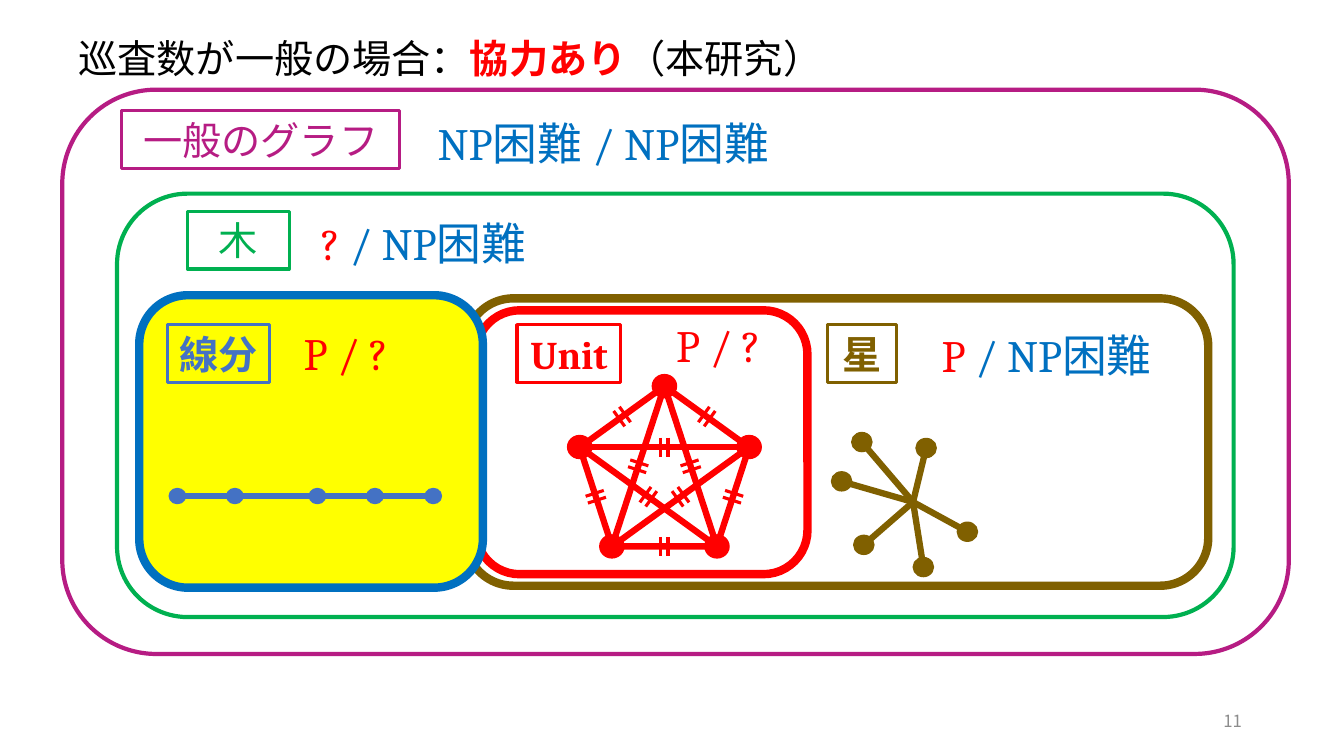
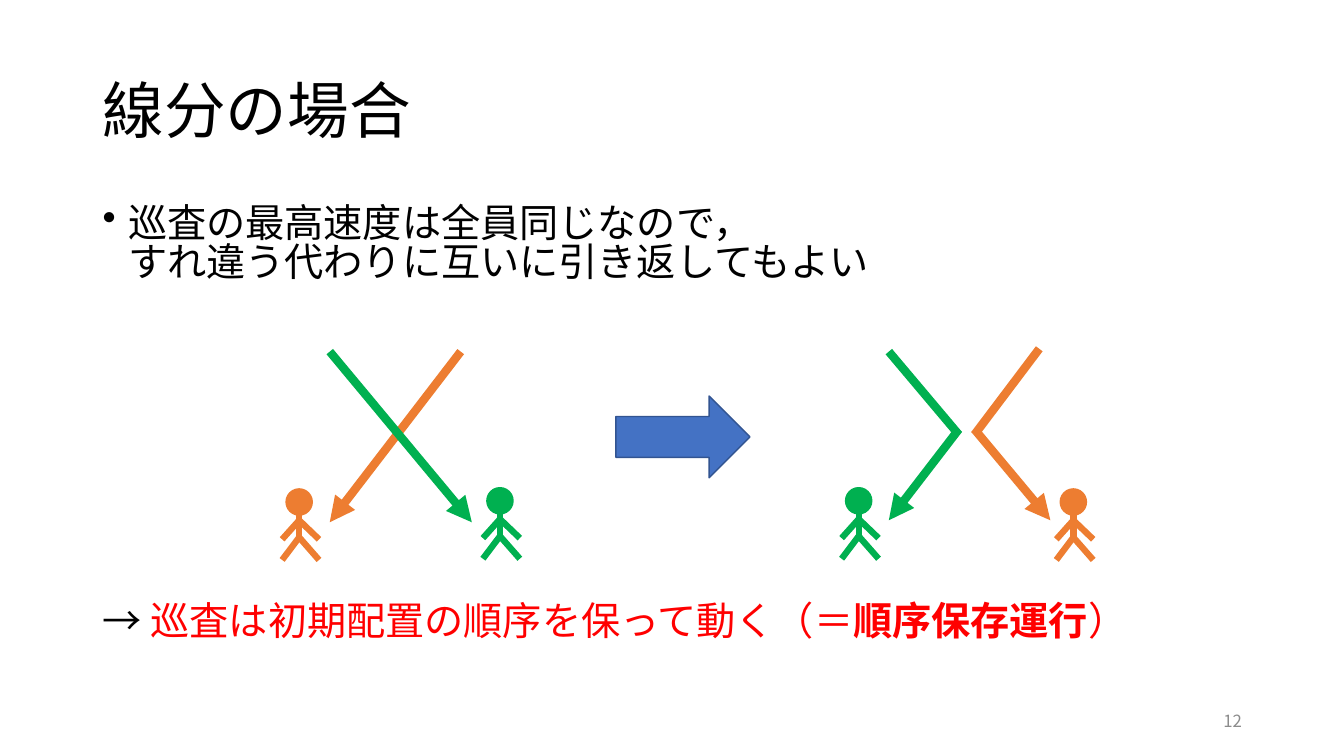
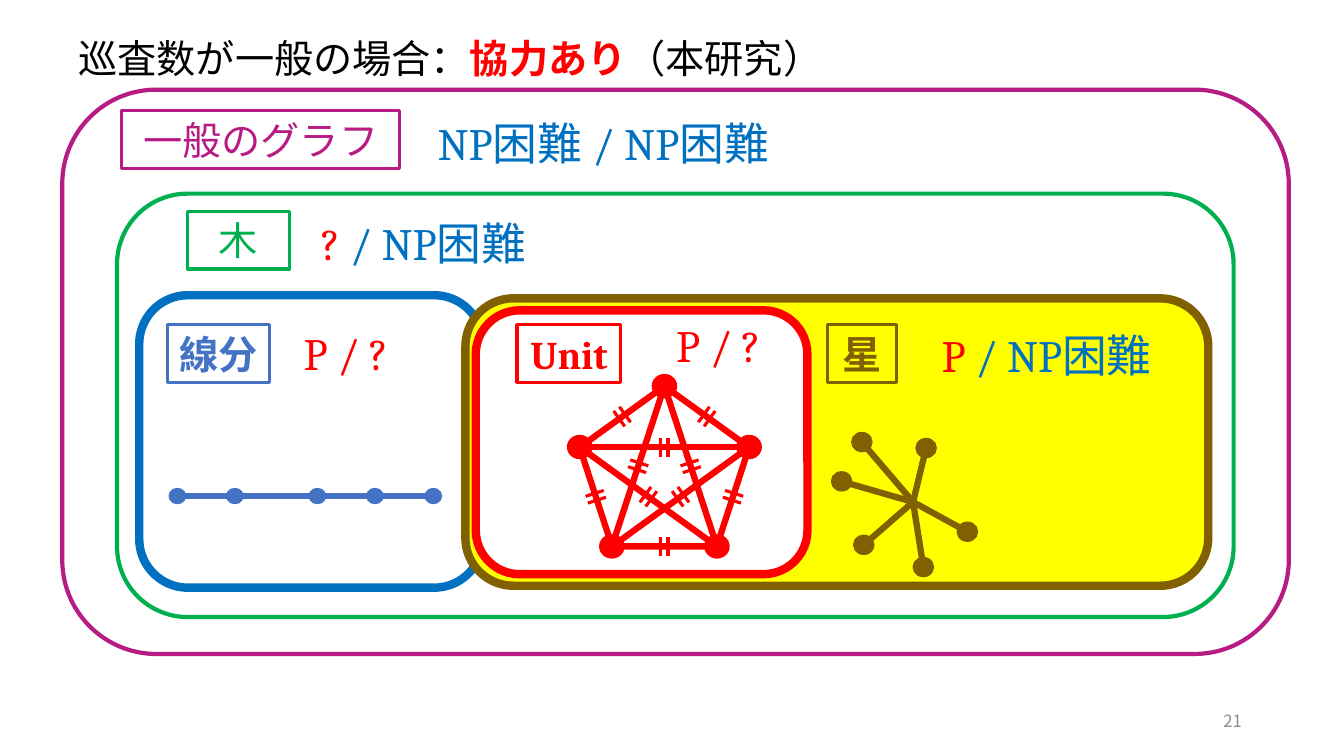
from dataclasses import dataclass
from itertools import combinations
from math import hypot

from lxml import etree
from pptx import Presentation, util as u
from pptx.dml.color import RGBColor
from pptx.enum import shapes, text
from pptx.oxml.ns import qn


@dataclass(frozen=True)
class Theme:
    """Colours, fonts, type sizes and line widths, in points."""
    black: str = "000000"
    white: str = "FFFFFF"
    red: str = "FF0000"
    blue: str = "0070C0"
    navy: str = "4472C4"
    navy_edge: str = "325491"
    green: str = "00B050"
    brown: str = "806000"
    purple: str = "B61C83"
    orange: str = "ED7D31"
    yellow: str = "FFFF00"
    grey: str = "8C8C8C"
    sans: str = "Noto Sans CJK JP"
    serif: str = "Cambria"
    title: float = 44
    verdict: float = 32
    body: float = 28
    number: float = 12
    thick: float = 6
    edge: float = 4.5
    frame: float = 3
    tick: float = 2.25
    hair: float = 1


T = Theme()
SHAPE = shapes.MSO_SHAPE
ALIGN = text.PP_ALIGN
ANCHOR = text.MSO_ANCHOR

# Content. Lengths are centimetres; a box is left, top, width, height.
# A run is text, colour, bold, font.
SLIDE_SIZE = (33.87, 19.05)
NUMBER_BOX = (23.93, 17.65, 7.62, 1.02)

HEADING_BOX = (1.73, 0.74, 19.46, 1.45)
HEADING = [("巡査数が一般の場合：", T.black, False, T.sans),
           ("協力あり", T.red, True, T.sans),
           ("（本研究）", T.black, False, T.sans)]

REGIONS = {  # box, line colour, line width
    "general": ((1.57, 2.26, 30.91, 14.22), T.purple, T.frame),
    "tree": ((2.95, 4.88, 28.14, 10.67), T.green, T.frame),
    "segment": ((3.51, 7.44, 8.66, 7.37), T.blue, T.thick),
    "star": ((11.73, 7.52, 18.72, 7.24), T.brown, T.thick),
    "unit": ((11.99, 7.82, 8.36, 6.65), T.red, T.thick),
}
LABEL_HEIGHT = 1.45
LABELS = [  # left, top, width, run
    (3.07, 2.79, 7.01, ("一般のグラフ", T.purple, False, T.sans)),
    (4.72, 5.33, 2.57, ("木", T.green, False, T.sans)),
    (4.22, 8.18, 2.57, ("線分", T.navy, True, T.sans)),
    (13.03, 8.18, 2.62, ("Unit", T.red, True, T.serif)),
    (20.85, 8.18, 1.75, ("星", T.brown, True, T.sans)),
]
HARD = ("困難", T.blue, False, T.sans)
SLASH_NP = (" / NP", T.blue, False, T.serif)
POLYNOMIAL_OPEN = [("P / ?", T.red, False, T.serif)]
VERDICT_HEIGHT = 1.63
VERDICTS = [  # left, top, width, runs
    (10.01, 2.79, 10.39, [("NP", T.blue, False, T.serif),
                          ("困難 ", T.blue, False, T.sans),
                          ("/ NP", T.blue, False, T.serif), HARD]),
    (7.39, 5.31, 6.58, [("?", T.red, False, T.serif), SLASH_NP, HARD]),
    (7.37, 8.08, 2.69, POLYNOMIAL_OPEN),
    (16.76, 7.87, 2.69, POLYNOMIAL_OPEN),
    (23.09, 8.13, 6.58, [("P", T.red, False, T.serif), SLASH_NP, HARD]),
]

PENTAGON_BOX = (14.61, 9.73, 4.27, 4.04)
PENTAGON_CORNERS = [(0.5, 0), (1, 0.38), (0.81, 1), (0.19, 1), (0, 0.38)]
TICK_OFFSET, TICK_HALF = 0.09, 0.24
STAR_CENTRE = (23.01, 12.65)
STAR_LEAVES = [(21.72, 11.14), (23.34, 11.29), (24.38, 13.4),
               (23.27, 14.29), (21.77, 13.73), (21.21, 12.13)]
SEGMENT_Y = 12.5
SEGMENT_STOPS = [4.47, 5.92, 8, 9.45, 10.92]
DOT_UNIT, DOT_STAR, DOT_SEGMENT = (0.61, 0.58), (0.51, 0.48), (0.41, 0.38)

# Page number and the regions from back to front with their fills.
MAPS = {
    11: [("unit", None), ("star", None), ("segment", T.yellow),
         ("tree", None), ("general", None)],
    21: [("segment", None), ("star", T.yellow), ("unit", T.white),
         ("general", None), ("tree", None)],
}

TITLE_BOX = (2.34, 1.02, 29.21, 3.68)
TITLE = [("線分の場合", T.black, False, T.sans)]
BODY_BOX = (2.34, 5.08, 29.21, 12.09)
BODY_LINES = ["巡査の最高速度は全員同じなので，",
              "すれ違う代わりに互いに引き返してもよい"]
CONCLUSION = [("→ ", T.black, False, T.sans),
              ("巡査は初期配置の順序を保って動く（＝", T.red, False, T.sans),
              ("順序保存運行", T.red, True, T.sans),
              ("）", T.red, False, T.sans)]
CONCLUSION_GAP, BODY_SPACING, BULLET_INDENT = 228, 0.83, 0.64

ROUTES = [  # from, to, colour, has arrowhead
    ((11.61, 8.86), (8.31, 13.16), T.orange, True),
    ((8.31, 8.86), (11.89, 13.16), T.green, True),
    ((24.16, 10.82), (22.4, 13.11), T.green, True),
    ((24.56, 10.82), (26.47, 13.11), T.orange, True),
    ((24.16, 10.95), (22.4, 8.86), T.green, False),
    ((24.56, 10.95), (26.19, 8.79), T.orange, False),
]
CHANGE_ARROW_BOX = (15.52, 9.98, 3.38, 2.06)
WALKERS = [((7.54, 12.65), T.orange), ((12.6, 12.62), T.green),
           ((21.64, 12.62), T.green), ((27.05, 12.65), T.orange)]
HEAD = (0.66, 0.66)
LIMBS = [((0, 0.33), (0, 0.94)),  # offsets from the centre of the head
         ((0, 0.89), (0.5, 1.46)), ((0, 0.89), (-0.43, 1.46)),
         ((0, 0.46), (0.5, 0.94)), ((0, 0.46), (-0.43, 0.94))]


def set_format(target, **values):
    """Set each named attribute of the target."""
    for name, value in values.items():
        setattr(target, name, value)


def lengths(values):
    """Turn centimetre numbers into lengths."""
    return [u.Cm(value) for value in values]


def set_line(line, colour, width):
    """Give an outline its colour and width."""
    line.color.rgb = RGBColor.from_string(colour)
    line.width = u.Pt(width)


def add_runs(paragraph, runs, size):
    """Append formatted runs to a paragraph."""
    for words, colour, bold, font in runs:
        run = paragraph.add_run()
        run.text = words
        set_format(run.font, size=u.Pt(size), bold=bold, name=font)
        run.font.color.rgb = RGBColor.from_string(colour)
        east_asian = etree.SubElement(run.font._element, qn("a:ea"))
        east_asian.set("typeface", font)


def add_text(slide, box, runs, size, align=ALIGN.LEFT, spacing=None, **frame):
    """Add a text box with one paragraph and return its text frame."""
    text_frame = slide.shapes.add_textbox(*lengths(box)).text_frame
    set_format(text_frame, **{"word_wrap": True, **frame})
    paragraph = text_frame.paragraphs[0]
    set_format(paragraph, alignment=align, line_spacing=spacing)
    add_runs(paragraph, runs, size)
    return text_frame


def add_figure(slide, kind, box, colour, width, fill=None):
    """Add a preset shape with an outline and an optional fill."""
    shape = slide.shapes.add_shape(kind, *lengths(box))
    shape.shadow.inherit = False
    if fill:
        shape.fill.solid()
        shape.fill.fore_color.rgb = RGBColor.from_string(fill)
    else:
        shape.fill.background()
    set_line(shape.line, colour, width)
    return shape


def add_line(slide, start, end, colour, width, arrow=False):
    """Add a straight line, with an arrowhead at its end if asked."""
    connector = slide.shapes.add_connector(
        shapes.MSO_CONNECTOR.STRAIGHT, *lengths((*start, *end)))
    set_line(connector.line, colour, width)
    properties = connector._element.spPr
    if arrow:
        outline = properties.find(qn("a:ln"))
        etree.SubElement(outline, qn("a:tailEnd")).set("type", "triangle")
    etree.SubElement(properties, qn("a:effectLst"))


def add_dot(slide, centre, size, colour):
    """Add a filled dot around a centre."""
    (x, y), (width, height) = centre, size
    box = (x - width / 2, y - height / 2, width, height)
    add_figure(slide, SHAPE.OVAL, box, colour, T.hair, colour)


def add_ticks(slide, start, end):
    """Add the two equal-length marks across the middle of an edge."""
    across, down = end[0] - start[0], end[1] - start[1]
    length = hypot(across, down)
    across, down = across / length, down / length
    for shift in (-TICK_OFFSET, TICK_OFFSET):
        x = (start[0] + end[0]) / 2 + shift * across
        y = (start[1] + end[1]) / 2 + shift * down
        add_line(slide, (x - TICK_HALF * down, y + TICK_HALF * across),
                 (x + TICK_HALF * down, y - TICK_HALF * across),
                 T.red, T.tick)


def add_complete_graph(slide):
    """Draw five joined nodes whose edges all have the same length."""
    left, top, width, height = PENTAGON_BOX
    nodes = [(left + x * width, top + y * height) for x, y in PENTAGON_CORNERS]
    add_figure(slide, SHAPE.REGULAR_PENTAGON, PENTAGON_BOX, T.red, T.edge)
    for first, second in combinations(range(len(nodes)), 2):
        if second - first in (2, 3):
            add_line(slide, nodes[first], nodes[second], T.red, T.edge)
        add_ticks(slide, nodes[first], nodes[second])
    for node in nodes:
        add_dot(slide, node, DOT_UNIT, T.red)


def add_star_graph(slide):
    """Draw the leaves joined to one centre."""
    for leaf in STAR_LEAVES:
        add_line(slide, STAR_CENTRE, leaf, T.brown, T.edge)
        add_dot(slide, leaf, DOT_STAR, T.brown)


def add_segment_graph(slide):
    """Draw the dots along one line."""
    stops = [(x, SEGMENT_Y) for x in SEGMENT_STOPS]
    add_line(slide, stops[0], stops[-1], T.navy, T.edge)
    for stop in stops:
        add_dot(slide, stop, DOT_SEGMENT, T.navy)


def add_walker(slide, centre, colour):
    """Draw a stick figure from the centre of its head."""
    x, y = centre
    add_dot(slide, centre, HEAD, colour)
    for (x1, y1), (x2, y2) in LIMBS:
        add_line(slide, (x + x1, y + y1), (x + x2, y + y2), colour, T.edge)


def add_slide(presentation, number):
    """Add a blank slide with its page number."""
    slide = presentation.slides.add_slide(presentation.slide_layouts[6])
    add_text(slide, NUMBER_BOX, [(str(number), T.grey, False, T.sans)],
             T.number, ALIGN.RIGHT, vertical_anchor=ANCHOR.MIDDLE)
    return slide


def build_map(presentation, number):
    """Build a map of graph classes with the given highlights."""
    slide = add_slide(presentation, number)
    growing = {"auto_size": text.MSO_AUTO_SIZE.SHAPE_TO_FIT_TEXT}
    for name, fill in MAPS[number]:
        add_figure(slide, SHAPE.ROUNDED_RECTANGLE, *REGIONS[name], fill)
    add_text(slide, HEADING_BOX, HEADING, T.body, word_wrap=False, **growing)
    for left, top, width, run in LABELS:
        box = (left, top, width, LABEL_HEIGHT)
        label = add_figure(slide, SHAPE.RECTANGLE, box, run[1], T.tick)
        set_format(label.text_frame, word_wrap=True,
                   vertical_anchor=ANCHOR.MIDDLE, **growing)
        paragraph = label.text_frame.paragraphs[0]
        paragraph.alignment = ALIGN.CENTER
        add_runs(paragraph, [run], T.body)
    add_complete_graph(slide)
    add_star_graph(slide)
    add_segment_graph(slide)
    for left, top, width, runs in VERDICTS:
        add_text(slide, (left, top, width, VERDICT_HEIGHT), runs, T.verdict,
                 ALIGN.CENTER, word_wrap=False, **growing)


def build_exchange(presentation, number):
    """Build the slide on turning back instead of passing."""
    slide = add_slide(presentation, number)
    add_text(slide, TITLE_BOX, TITLE, T.title, spacing=0.9,
             vertical_anchor=ANCHOR.MIDDLE)
    first, second = [[(line, T.black, False, T.sans)] for line in BODY_LINES]
    body = add_text(slide, BODY_BOX, first, T.body, spacing=BODY_SPACING)
    point = body.paragraphs[0]
    point.add_line_break()
    add_runs(point, second, T.body)
    properties = point._p.get_or_add_pPr()
    properties.set("marL", str(u.Cm(BULLET_INDENT)))
    properties.set("indent", str(-u.Cm(BULLET_INDENT)))
    etree.SubElement(properties, qn("a:buChar")).set("char", "•")
    conclusion = body.add_paragraph()
    set_format(conclusion, space_before=u.Pt(CONCLUSION_GAP),
               line_spacing=BODY_SPACING)
    add_runs(conclusion, CONCLUSION, T.body)
    for start, end, colour, arrow in ROUTES:
        add_line(slide, start, end, colour, T.thick, arrow)
    add_figure(slide, SHAPE.RIGHT_ARROW, CHANGE_ARROW_BOX, T.navy_edge,
               T.hair, T.navy)
    for centre, colour in WALKERS:
        add_walker(slide, centre, colour)


def main():
    """Build and save the presentation."""
    presentation = Presentation()
    width, height = lengths(SLIDE_SIZE)
    set_format(presentation, slide_width=width, slide_height=height)
    build_map(presentation, 11)
    build_exchange(presentation, 12)
    build_map(presentation, 21)
    presentation.save("out.pptx")


main()
